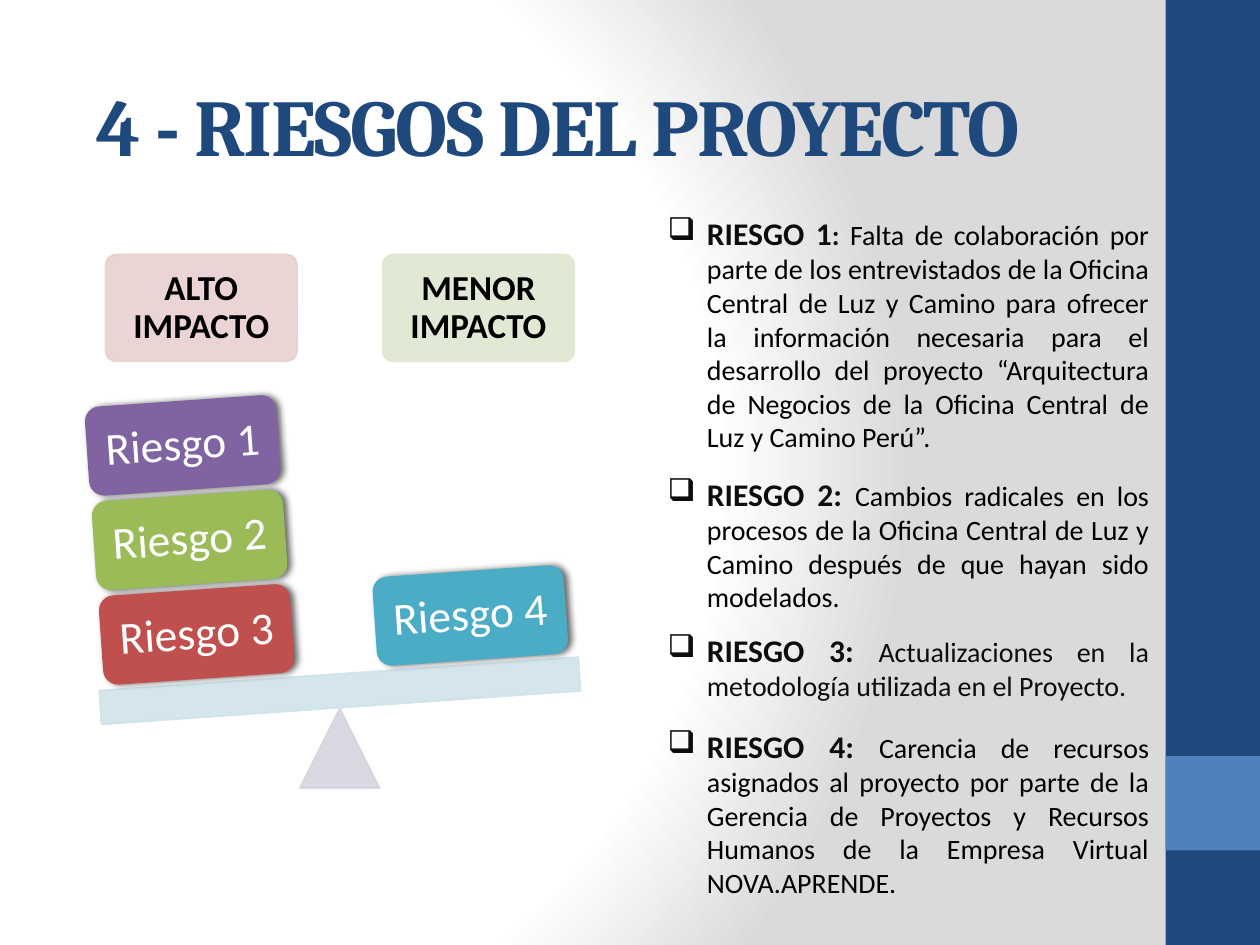
"""Build the project risks slide with its balance diagram and risk list."""
from lxml.etree import SubElement
from pptx import Presentation
from pptx.dml.color import RGBColor
from pptx.enum.shapes import MSO_SHAPE as Shape
from pptx.enum.text import MSO_ANCHOR as Anchor, MSO_AUTO_SIZE as AutoSize, PP_ALIGN as Align
from pptx.oxml.ns import qn
from pptx.util import Pt

COLORS = {
    "white": "FFFFFF", "gray": "DADADA", "black": "000000", "ink": "0D0D0D",
    "navy": "1F497D", "blue": "4F81BD", "pink": "E8D0D0", "pale_green": "DEE7D1",
    "lilac": "D8D3E0", "pale_blue": "D0E3EA", "red": "C0504D", "green": "9BBB59",
    "purple": "8064A2", "teal": "4BACC6",
}


def write(paragraph, text, size, color, font="Calibri", bold=False, spacing=0):
    run = paragraph.add_run()
    run.text = text
    run.font.name = font
    run.font.size = Pt(size)
    run.font.bold = bold
    run.font.color.rgb = RGBColor.from_string(COLORS[color])
    if spacing:
        run._r.get_or_add_rPr().set("spc", str(spacing))


def add_block(kind, left, top, width, height, color, rotation=0, pale=False, inset=0):
    shape = slide.shapes.add_shape(kind, Pt(left), Pt(top), Pt(width), Pt(height))
    shape.shadow.inherit = False
    shape.rotation = rotation
    shape.fill.solid()
    shape.fill.fore_color.rgb = RGBColor.from_string(COLORS[color])
    shape.line.fill.background()
    if pale:
        shape.line.color.rgb = RGBColor.from_string(COLORS[color])
        shape.line.width = Pt(1)
        for tint in shape._element.spPr.iter(qn("a:srgbClr")):
            SubElement(tint, qn("a:alpha"), val="90000")
    frame = shape.text_frame
    frame.word_wrap = True
    frame.vertical_anchor = Anchor.MIDDLE
    frame.margin_left = frame.margin_right = frame.margin_top = frame.margin_bottom = Pt(inset)
    frame.paragraphs[0].alignment = Align.CENTER
    frame.paragraphs[0].line_spacing = 0.9
    return shape


presentation = Presentation()
presentation.slide_width, presentation.slide_height = Pt(720), Pt(540)
slide = presentation.slides.add_slide(presentation.slide_layouts[6])

slide.background.fill.solid()
background = slide._element.cSld.find(qn("p:bg")).find(qn("p:bgPr"))
background.remove(background.find(qn("a:solidFill")))
gradient = SubElement(background, qn("a:gradFill"), rotWithShape="1")
background.insert(0, gradient)
stops = SubElement(gradient, qn("a:gsLst"))
for position, color in [(0, "white"), (75, "white"), (100, "gray")]:
    stop = SubElement(stops, qn("a:gs"), pos=str(position * 1000))
    SubElement(stop, qn("a:srgbClr"), val=COLORS[color])
circle = SubElement(gradient, qn("a:path"), path="circle")
SubElement(circle, qn("a:fillToRect"), l="20000", t="50000", r="100000", b="50000")

add_block(Shape.RECTANGLE, 666, 0, 54, 540, "navy")
add_block(Shape.RECTANGLE, 666, 432, 54, 54, "blue")

title = slide.shapes.add_textbox(Pt(48), Pt(35), Pt(644), Pt(72))
title.text_frame.word_wrap = True
title.text_frame.vertical_anchor = Anchor.MIDDLE
write(title.text_frame.paragraphs[0], "4 - RIESGOS DEL PROYECTO", size=46,
      color="navy", font="Cambria", bold=True, spacing=-100)

for text, left, color in [("ALTO IMPACTO", 60.3, "pink"), ("MENOR IMPACTO", 218.7, "pale_green")]:
    heading = add_block(Shape.ROUNDED_RECTANGLE, left, 145.5, 109.5, 61, color, pale=True, inset=7.5)
    heading.adjustments[0] = 0.1
    write(heading.text_frame.paragraphs[0], text, size=20, color="black", bold=True)

add_block(Shape.ISOSCELES_TRIANGLE, 171.4, 404.8, 45.5, 45.5, "lilac", pale=True)
add_block(Shape.RECTANGLE, 57, 385, 274.5, 19.4, "pale_blue", rotation=-4, pale=True)

weights = [(49.6 + 4 * row, 229 + 54 * row, color)
           for row, color in enumerate(["purple", "green", "red"])]
weights.append((214, 326.2, "teal"))
for number, (left, top, color) in enumerate(weights, 1):
    weight = add_block(Shape.ROUNDED_RECTANGLE, left, top, 109.5, 51, color, rotation=-4, inset=3)
    effects = weight._element.spPr.find(qn("a:effectLst"))
    shadow = SubElement(effects, qn("a:outerShdw"), blurRad=str(Pt(4)), dist=str(Pt(2)),
                        dir="0", rotWithShape="0")
    SubElement(SubElement(shadow, qn("a:srgbClr"), val=COLORS["black"]), qn("a:alpha"), val="60000")
    write(weight.text_frame.paragraphs[0], f"Riesgo {number}", size=26, color="white")

risks = [
    (118.8, 145.5, "black", "Falta de colaboración por parte de los entrevistados de la Oficina "
     "Central de Luz y Camino para ofrecer la información necesaria para el desarrollo del "
     "proyecto “Arquitectura de Negocios de la Oficina Central de Luz y Camino Perú”."),
    (267.8, 87, "black", "Cambios radicales en los procesos de la Oficina Central de Luz y "
     "Camino después de que hayan sido modelados."),
    (357, 48.2, "ink", "Actualizaciones en la metodología utilizada en el Proyecto."),
    (411.8, 128, "black", "Carencia de recursos asignados al proyecto por parte de la Gerencia "
     "de Proyectos y Recursos Humanos de la Empresa Virtual NOVA.APRENDE."),
]
for number, (top, height, color, text) in enumerate(risks, 1):
    box = slide.shapes.add_textbox(Pt(374.4), Pt(top), Pt(289.4), Pt(height))
    box.text_frame.word_wrap = True
    box.text_frame.auto_size = AutoSize.SHAPE_TO_FIT_TEXT
    paragraph = box.text_frame.paragraphs[0]
    paragraph.alignment = Align.JUSTIFY
    properties = paragraph._p.get_or_add_pPr()
    properties.set("marL", str(Pt(22.5)))
    properties.set("indent", str(Pt(-22.5)))
    SubElement(properties, qn("a:buChar"), char="❑")
    write(paragraph, f"RIESGO {number}", size=18, color="ink", bold=True)
    write(paragraph, ": ", size=16 if number == 1 else 18, color="ink", bold=True)
    write(paragraph, text, size=16, color=color)

presentation.save("out.pptx")
